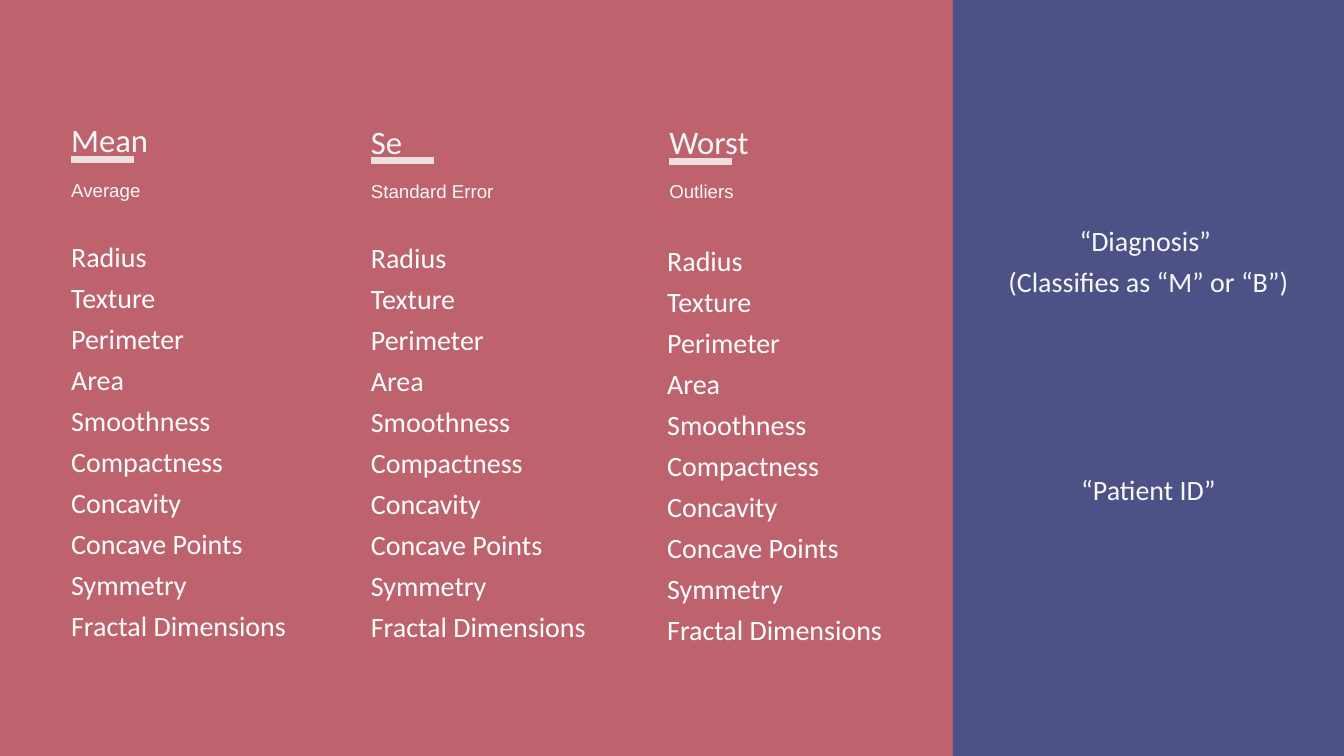
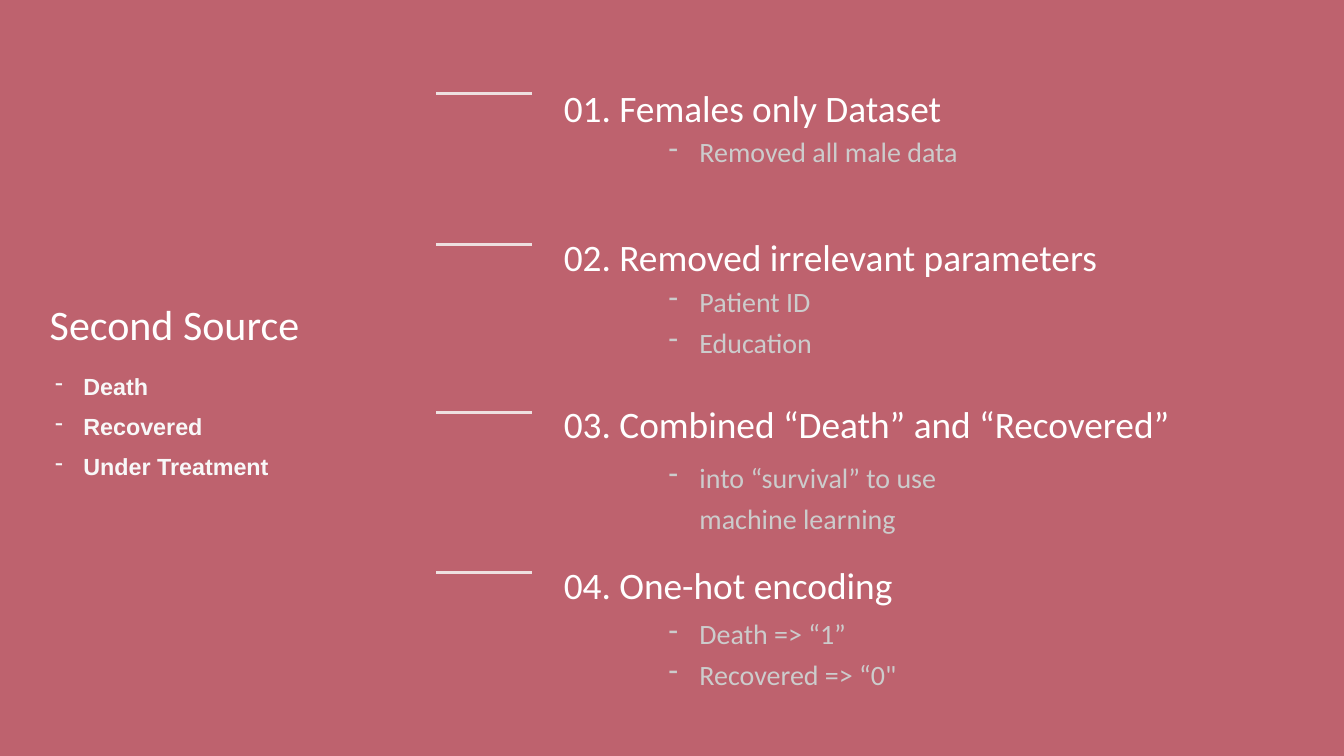
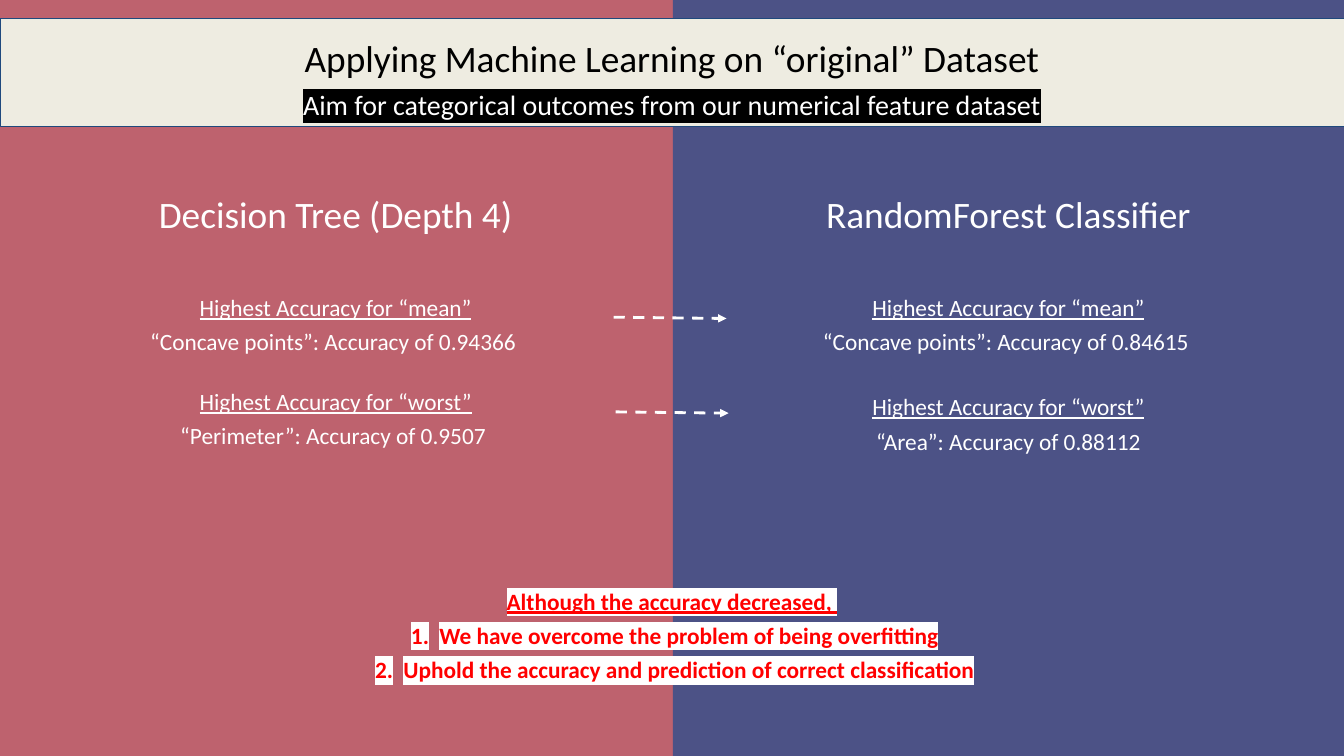
from lxml.etree import SubElement
from pptx import Presentation
from pptx.dml.color import RGBColor
from pptx.enum.dml import MSO_LINE
from pptx.enum.shapes import MSO_CONNECTOR, MSO_SHAPE
from pptx.enum.text import MSO_ANCHOR, MSO_AUTO_SIZE, PP_ALIGN
from pptx.oxml.ns import qn
from pptx.util import Cm, Pt

rgb = RGBColor.from_string
ROSE, INDIGO, CREAM, NAVY = "BE626E", "4C5286", "EEECE1", "1F497D"
WHITE, OFF_WHITE, RULE, GREY = "FFFFFF", "F8F8F8", "EEE0E0", "CCCCCC"
BLACK, RED = "000000", "FF0000"
LINE_SPACING = {"Calibri": 1.22, "Arial": 1.43}
WIDTH, HEIGHT = 50.8, 28.58


def add_text(slide, box, lines, size, color=WHITE, font="Calibri", bold=False, centred=False,
             inset=0, bullet=None, hanging=1.17, heading=False, highlight=None, shape=None):
    shape = shape or slide.shapes.add_textbox(0, 0, 0, 0)
    shape.left, shape.top, shape.width, shape.height = map(Cm, box)
    frame = shape.text_frame
    frame.text = "\n".join(lines)
    frame.word_wrap = True
    frame.auto_size = MSO_AUTO_SIZE.SHAPE_TO_FIT_TEXT
    frame.vertical_anchor = MSO_ANCHOR.TOP
    frame.margin_left = frame.margin_right = frame.margin_top = frame.margin_bottom = Cm(inset)
    for index, paragraph in enumerate(frame.paragraphs):
        is_heading = heading and index == 0
        if bullet and not is_heading:
            properties = paragraph._p.get_or_add_pPr()
            properties.set("marL", str(Cm(1.27)))
            properties.set("indent", str(-Cm(hanging)))
            if bullet == "1.":
                SubElement(properties, qn("a:buAutoNum"), type="arabicPeriod")
            else:
                SubElement(properties, qn("a:buChar"), char=bullet)
        paragraph.line_spacing = LINE_SPACING[font]
        paragraph.alignment = PP_ALIGN.CENTER if centred else PP_ALIGN.LEFT
        paragraph.font.name = font
        paragraph.font.size = Pt(size)
        paragraph.font.bold = bold
        paragraph.font.color.rgb = rgb(color)
        if is_heading:
            paragraph.runs[0].font.underline = True
        if highlight:
            for run in paragraph.runs:
                marker = SubElement(run._r.get_or_add_rPr(), qn("a:highlight"))
                SubElement(marker, qn("a:srgbClr"), val=highlight)
    return shape


def add_line(slide, start, end, color, weight, arrow=False):
    connector = slide.shapes.add_connector(MSO_CONNECTOR.STRAIGHT, *map(Cm, start + end))
    connector.line.color.rgb = rgb(color)
    connector.line.width = Pt(weight)
    if arrow:
        connector.line.dash_style = MSO_LINE.DASH
        SubElement(connector.line._get_or_add_ln(), qn("a:tailEnd"), type="triangle")
    SubElement(connector._element.spPr, qn("a:effectLst"))


presentation = Presentation()
presentation.slide_width, presentation.slide_height = Cm(WIDTH), Cm(HEIGHT)
background = presentation.slide_master.background.fill
background.solid()
background.fore_color.rgb = rgb(ROSE)

title_only, blank = presentation.slide_layouts[5], presentation.slide_layouts[6]
features_slide = presentation.slides.add_slide(blank)
source_slide = presentation.slides.add_slide(title_only)
models_slide = presentation.slides.add_slide(title_only)

for slide, left in ((features_slide, 36.02), (models_slide, 25.43)):
    panel = slide.shapes.add_shape(MSO_SHAPE.RECTANGLE, Cm(left), 0, Cm(WIDTH - left), Cm(HEIGHT))
    panel.shadow.inherit = False
    panel.fill.solid()
    panel.fill.fore_color.rgb = rgb(INDIGO)
    panel.line.fill.background()
    slide.shapes.element.insert(2, panel.element)

features = ["Radius", "Texture", "Perimeter", "Area", "Smoothness", "Compactness",
            "Concavity", "Concave Points", "Symmetry", "Fractal Dimensions"]
columns = [
    ("Mean", "Average", 2.69, 4.19, 6.02, 6.38, 2.69, 8.79),
    ("Se", "Standard Error", 14.02, 4.27, 6.07, 6.45, 14.02, 8.81),
    ("Worst", "Outliers", 25.3, 4.27, 6.12, 6.45, 25.22, 8.94),
]
for name, caption, left, top, rule_y, caption_top, list_left, list_top in columns:
    add_text(features_slide, (left, top, 12, 1.5), [name], 35, OFF_WHITE)
    add_line(features_slide, (left, rule_y), (left + 2.38, rule_y), RULE, 7.5)
    add_text(features_slide, (left, caption_top, 11.81, 0.86), [caption], 20, OFF_WHITE, "Arial")
    add_text(features_slide, (list_left, list_top, 14.43, 15.37), features, 30)

labels = add_text(features_slide, (36.02, 8.18, 14.78, 12.24),
                  ["“Diagnosis” ", "(Classifies as “M” or “B”)", "“Patient ID”"],
                  30, OFF_WHITE, centred=True)
labels.text_frame.paragraphs[2].space_before = Pt(179)

add_text(source_slide, (1.88, 10.85, 12.29, 1.93), ["Second Source"], 45,
         shape=source_slide.shapes.title)
add_text(source_slide, (1.88, 13.61, 10.85, 4.11), ["Death", "Recovered", "Under Treatment"],
         25, OFF_WHITE, "Arial", bold=True, bullet="-", hanging=1.07)

steps = [
    ("01. Females only Dataset", 2.84, 19.63, 3.53,
     ["Removed all male data"], 4.57, 20.45),
    ("02. Removed irrelevant parameters", 8.48, 25.78, 9.25,
     ["Patient ID", "Education"], 10.21, 20.45),
    ("03. Combined “Death” and “Recovered”", 14.81, 28.47, 15.6,
     ["into “survival” to use machine learning"], 16.87, 14.17),
    ("04. One-hot encoding", 20.88, 19.63, 21.64,
     ["Death => “1”", "Recovered => “0\""], 22.78, 17.63),
]
for step, top, width, rule_y, details, details_top, details_width in steps:
    add_text(source_slide, (21.31, top, width, 1.7), [step], 40)
    add_line(source_slide, (16.48, rule_y), (20.12, rule_y), RULE, 3.75)
    add_text(source_slide, (24.92, details_top, details_width, 1.8 if len(details) == 1 else 3.35),
             details, 30, GREY, inset=0.25, bullet="-")

banner = add_text(models_slide, (0, 0.71, WIDTH, 4.06),
                  ["Applying Machine Learning on “original” Dataset"], 40, BLACK,
                  centred=True, inset=0.25, shape=models_slide.shapes.title)
banner.text_frame.auto_size = MSO_AUTO_SIZE.NONE
banner.fill.solid()
banner.fill.fore_color.rgb = rgb(CREAM)
banner.line.color.rgb = rgb(NAVY)
banner.line.width = Pt(0.75)
add_text(models_slide, (0, 2.77, WIDTH, 1.8),
         ["Aim for categorical outcomes from our numerical feature dataset"], 30,
         centred=True, inset=0.25, highlight=BLACK)

models = [
    ("Decision Tree (Depth 4)", 0, 14.4,
     "“Concave points”: Accuracy of 0.94366 ", "“Perimeter”: Accuracy of 0.9507 "),
    ("RandomForest Classifier", 25.43, 14.61,
     "“Concave points”: Accuracy of 0.84615 ", "“Area”: Accuracy of 0.88112"),
]
for model, left, worst_top, mean_result, worst_result in models:
    add_text(models_slide, (left, 6.86, 25.37, 1.7), [model], 40, centred=True)
    for group, top, result in (("mean", 10.85, mean_result), ("worst", worst_top, worst_result)):
        add_text(models_slide, (left, top, 25.37, 2.36),
                 [f"Highest Accuracy for “{group}”", result], 25, centred=True, heading=True)

for left, top in ((23.19, 11.99), (23.27, 15.57)):
    add_line(models_slide, (left, top), (left + 4.27, top + 0.05), WHITE, 3, arrow=True)

add_text(models_slide, (8.51, 21.95, 33.78, 3.68),
         ["Although the accuracy decreased, ",
          "We have overcome the problem of being overfitting",
          "Uphold the accuracy and prediction of correct classification"],
         25, RED, bold=True, centred=True, bullet="1.", hanging=1.07, heading=True, highlight=WHITE)

presentation.save("out.pptx")
